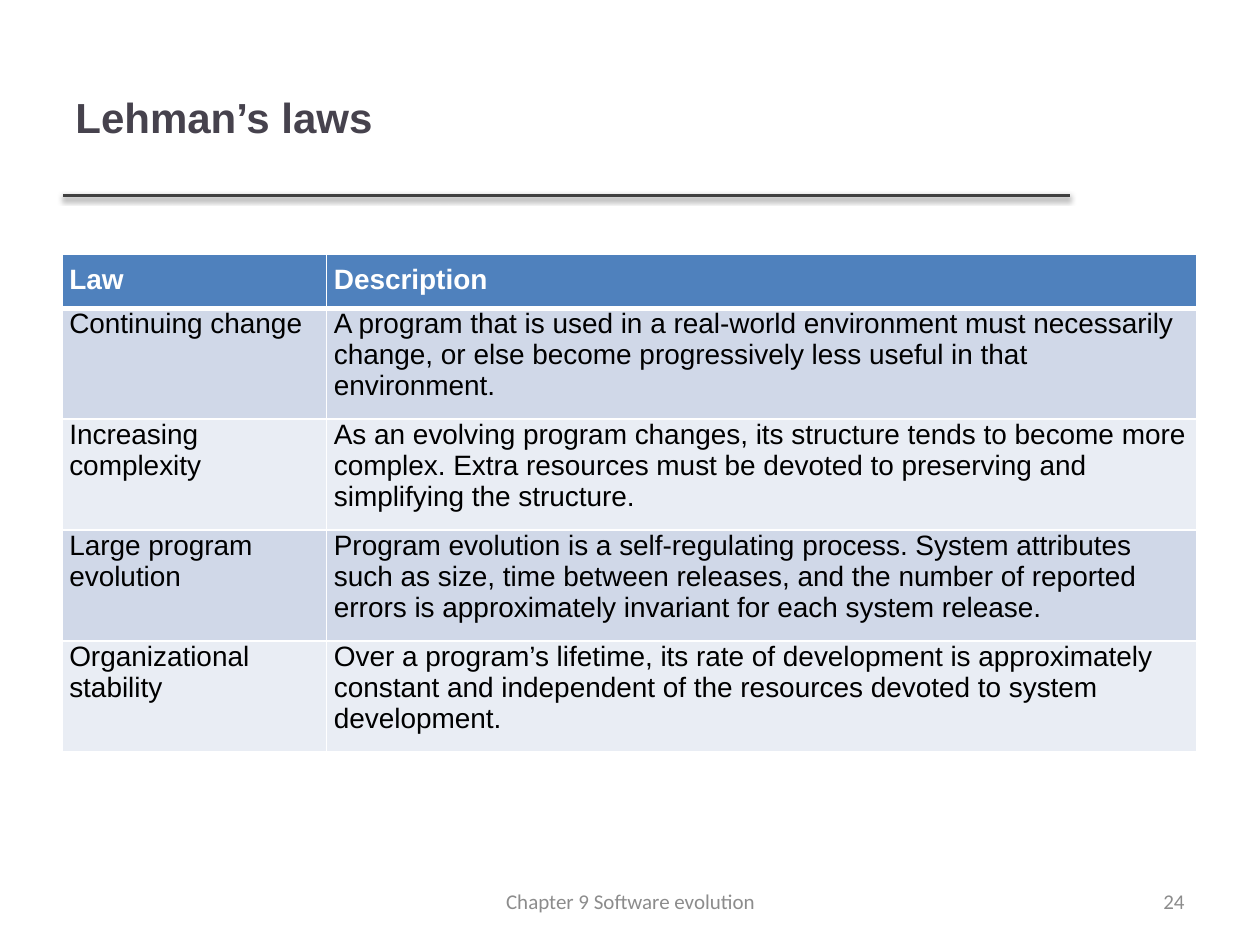
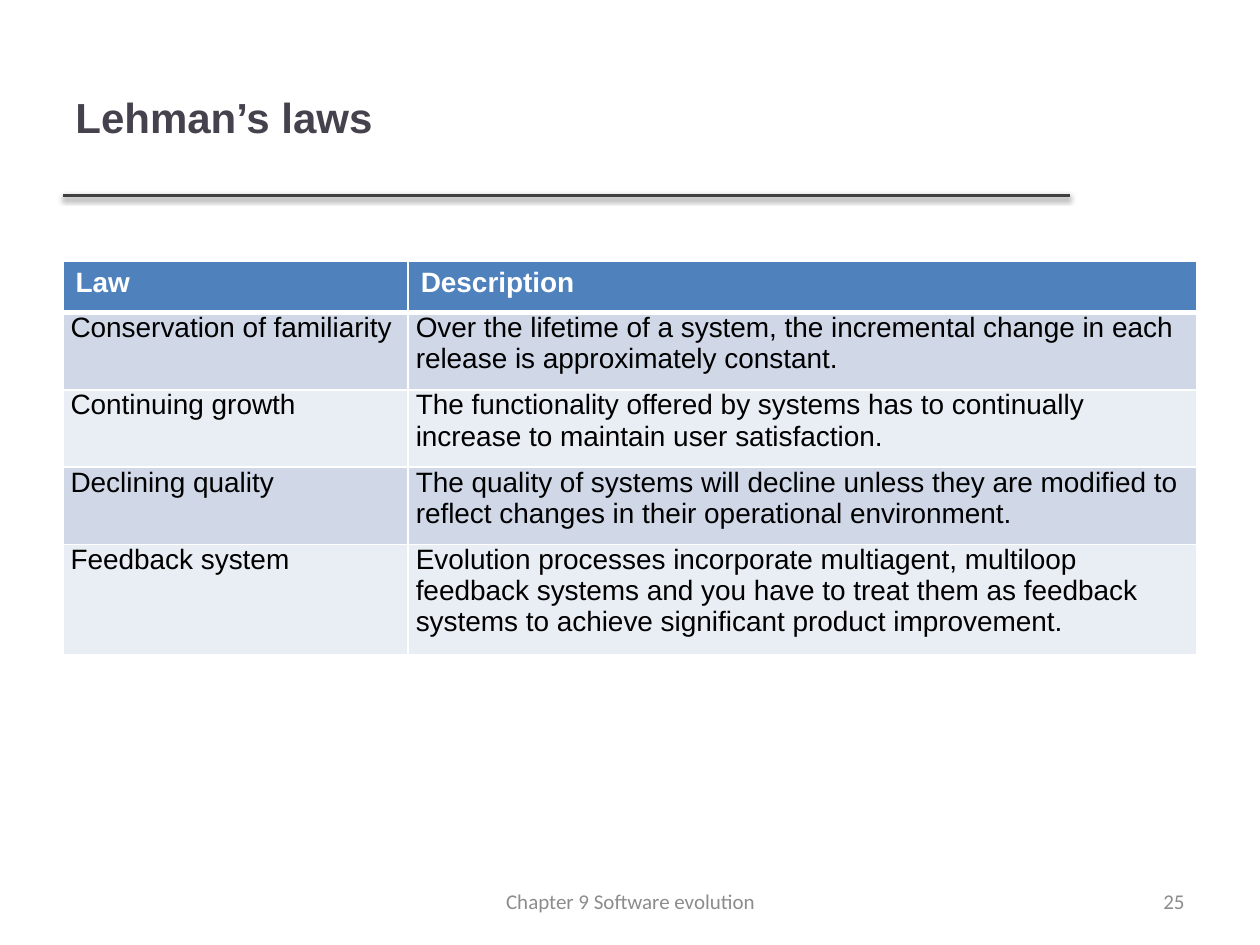
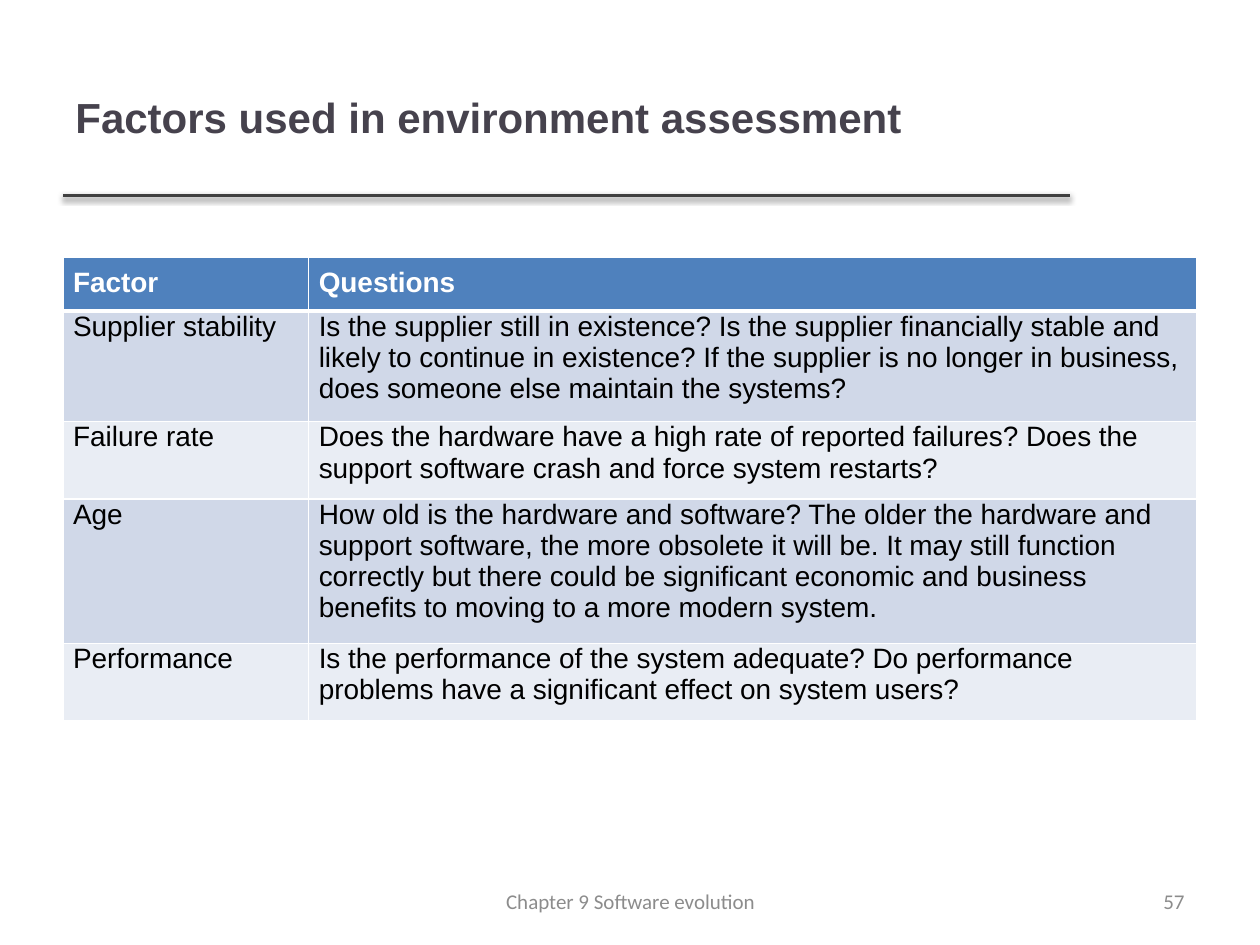
from dataclasses import dataclass
from typing import Any

from lxml.etree import SubElement
from pptx import Presentation
from pptx.dml.color import RGBColor
from pptx.enum.shapes import MSO_CONNECTOR as Connector
from pptx.enum.text import MSO_ANCHOR as Anchor, PP_ALIGN as Align
from pptx.oxml.ns import qn
from pptx.util import Inches, Pt

SLIDE_WIDTH, SLIDE_HEIGHT = Inches(10), Inches(7.5)
GRID_COLUMNS, GRID_ROWS = 100, 75


@dataclass(frozen=True)
class Theme:
    heading_font: str = "Arial"
    footer_font: str = "Calibri"
    title_size: int = 24
    table_size: int = 16
    footer_size: int = 12
    title: str = "46424D"
    rule: str = "404040"
    shadow: str = "000000"
    footer: str = "8C8C8C"
    header_fill: str = "4F81BD"
    header_text: str = "FFFFFF"
    body_text: str = "000000"
    border: str = "FFFFFF"
    bands: tuple[str, str] = ("D0D8E8", "E9EDF4")


THEME = Theme()


@dataclass(frozen=True)
class Area:
    """A rectangle in grid columns and rows."""
    left: float
    top: float
    width: float
    height: float

    def box(self) -> tuple[int, int, int, int]:
        return across(self.left), down(self.top), across(self.width), down(self.height)


@dataclass(frozen=True)
class TextStyle:
    font: str
    size: int
    color: str
    bold: bool = False
    align: Align = Align.LEFT
    space_after: int = 0


@dataclass(frozen=True)
class Insets:
    """Cell margins in grid units."""
    side: float
    top: float
    bottom: float


@dataclass(frozen=True)
class TableSlide:
    title: str
    number: int
    area: Area
    first_column: float
    header_insets: Insets
    body_insets: Insets
    rows: tuple[tuple[str, str], ...]
    header_space: int = 6


TITLE_AREA = Area(5, 3, 79.8, 12.5)
RULE_AREA = Area(5, 15.5, 79.9, 0)
FOOTER_AREA = Area(34.2, 69.5, 31.7, 4)
NUMBER_AREA = Area(71.7, 69.5, 23.3, 4)
ROW_HEIGHT = 4.1
FOOTER_TEXT = "Chapter 9 Software evolution"

TITLE_STYLE = TextStyle(THEME.heading_font, THEME.title_size, THEME.title, bold=True)
FOOTER_STYLE = TextStyle(THEME.footer_font, THEME.footer_size, THEME.footer, align=Align.CENTER)
NUMBER_STYLE = TextStyle(THEME.footer_font, THEME.footer_size, THEME.footer, align=Align.RIGHT)
BODY_STYLE = TextStyle(THEME.heading_font, THEME.table_size, THEME.body_text, space_after=6)

SLIDES = (
    TableSlide(
        "Lehman’s laws", 24, Area(4.9, 20.2, 90.1, 39.5), 21,
        Insets(0.6, 0.8, 0.8), Insets(0.6, 0, 0.8),
        (
            ("Law", "Description"),
            ("Continuing change",
             "A program that is used in a real-world environment must necessarily change, "
             "or else become progressively less useful in that environment."),
            ("Increasing complexity",
             "As an evolving program changes, its structure tends to become more complex. "
             "Extra resources must be devoted to preserving and simplifying the structure."),
            ("Large program evolution",
             "Program evolution is a self-regulating process. System attributes such as size, "
             "time between releases, and the number of reported errors is approximately "
             "invariant for each system release."),
            ("Organizational stability",
             "Over a program’s lifetime, its rate of development is approximately constant "
             "and independent of the resources devoted to system development."),
        ),
    ),
    TableSlide(
        "Lehman’s laws", 25, Area(5, 20.7, 90, 31.2), 27.4,
        Insets(1, 0.5, 0.5), Insets(0.6, 0, 0.8),
        (
            ("Law", "Description"),
            ("Conservation of familiarity",
             "Over the lifetime of a system, the incremental change in each release is "
             "approximately constant."),
            ("Continuing growth",
             "The functionality offered by systems has to continually increase to maintain "
             "user satisfaction."),
            ("Declining quality",
             "The quality of systems will decline unless they are modified to reflect changes "
             "in their operational environment."),
            ("Feedback system",
             "Evolution processes incorporate multiagent, multiloop feedback systems and you "
             "have to treat them as feedback systems to achieve significant product "
             "improvement."),
        ),
        header_space=0,
    ),
    TableSlide(
        "Factors used in environment assessment", 57, Area(5, 20.4, 90, 36.8), 19.5,
        Insets(0.8, 0.8, 0.8), Insets(0.8, 0, 0.8),
        (
            ("Factor", "Questions"),
            ("Supplier stability",
             "Is the supplier still in existence? Is the supplier financially stable and "
             "likely to continue in existence? If the supplier is no longer in business, "
             "does someone else maintain the systems?"),
            ("Failure rate",
             "Does the hardware have a high rate of reported failures? Does the support "
             "software crash and force system restarts?"),
            ("Age",
             "How old is the hardware and software? The older the hardware and support "
             "software, the more obsolete it will be. It may still function correctly but "
             "there could be significant economic and business benefits to moving to a more "
             "modern system."),
            ("Performance",
             "Is the performance of the system adequate? Do performance problems have a "
             "significant effect on system users?"),
        ),
    ),
)


def across(columns: float) -> int:
    return round(SLIDE_WIDTH * columns / GRID_COLUMNS)


def down(rows: float) -> int:
    return round(SLIDE_HEIGHT * rows / GRID_ROWS)


def apply_format(target: Any, values: dict[str, Any]) -> None:
    for name, value in values.items():
        setattr(target, name, value)


def write_text(text_frame: Any, text: str, style: TextStyle) -> None:
    paragraph = text_frame.paragraphs[0]
    apply_format(paragraph, {"alignment": style.align, "space_after": Pt(style.space_after)})
    run = paragraph.add_run()
    run.text = text
    apply_format(run.font, {"name": style.font, "size": Pt(style.size), "bold": style.bold})
    run.font.color.rgb = RGBColor.from_string(style.color)


def add_text(slide: Any, area: Area, text: str, style: TextStyle) -> None:
    text_frame = slide.shapes.add_textbox(*area.box()).text_frame
    apply_format(text_frame, {"word_wrap": True, "vertical_anchor": Anchor.MIDDLE})
    write_text(text_frame, text, style)


def add_title_rule(slide: Any) -> None:
    left, top, width, height = RULE_AREA.box()
    rule = slide.shapes.add_connector(Connector.STRAIGHT, left, top, left + width, top + height)
    rule.line.width = Pt(2)
    rule.line.color.rgb = RGBColor.from_string(THEME.rule)
    effects = SubElement(rule._element.spPr, qn("a:effectLst"))
    shadow = SubElement(effects, qn("a:outerShdw"), blurRad=str(Pt(3.1)), dist=str(Pt(1.6)),
                        dir="5400000", rotWithShape="0")
    color = SubElement(shadow, qn("a:srgbClr"), val=THEME.shadow)
    SubElement(color, qn("a:alpha"), val="38000")


def add_borders(cell: Any, row_index: int) -> None:
    """Draw thin cell borders, with a thick one between header and body."""
    widths = {"L": 1, "R": 1, "T": 3 if row_index == 1 else 1, "B": 3 if row_index == 0 else 1}
    properties = cell._tc.get_or_add_tcPr()
    for side, width in widths.items():
        border = SubElement(properties, qn(f"a:ln{side}"), w=str(Pt(width)))
        fill = SubElement(border, qn("a:solidFill"))
        SubElement(fill, qn("a:srgbClr"), val=THEME.border)


def add_table(slide: Any, content: TableSlide) -> None:
    frame = slide.shapes.add_table(len(content.rows), 2, *content.area.box())
    table = frame.table
    column_widths = content.first_column, content.area.width - content.first_column
    for column, width in zip(table.columns, column_widths):
        column.width = across(width)
    for row in table.rows:
        row.height = down(ROW_HEIGHT)
    frame.height = down(content.area.height)

    header_style = TextStyle(THEME.heading_font, THEME.table_size, THEME.header_text,
                             bold=True, space_after=content.header_space)
    for row_index, texts in enumerate(content.rows):
        if row_index == 0:
            style, insets, fill = header_style, content.header_insets, THEME.header_fill
        else:
            style, insets = BODY_STYLE, content.body_insets
            fill = THEME.bands[(row_index - 1) % 2]
        for column_index, text in enumerate(texts):
            cell = table.cell(row_index, column_index)
            apply_format(cell, {
                "margin_left": across(insets.side), "margin_right": across(insets.side),
                "margin_top": down(insets.top), "margin_bottom": down(insets.bottom),
            })
            add_borders(cell, row_index)
            cell.fill.solid()
            cell.fill.fore_color.rgb = RGBColor.from_string(fill)
            write_text(cell.text_frame, text, style)


def main() -> None:
    presentation = Presentation()
    apply_format(presentation, {"slide_width": SLIDE_WIDTH, "slide_height": SLIDE_HEIGHT})
    blank_layout = presentation.slide_layouts[6]
    for content in SLIDES:
        slide = presentation.slides.add_slide(blank_layout)
        add_title_rule(slide)
        add_text(slide, TITLE_AREA, content.title, TITLE_STYLE)
        add_table(slide, content)
        add_text(slide, NUMBER_AREA, str(content.number), NUMBER_STYLE)
        add_text(slide, FOOTER_AREA, FOOTER_TEXT, FOOTER_STYLE)
    presentation.save("out.pptx")


if __name__ == "__main__":
    main()
